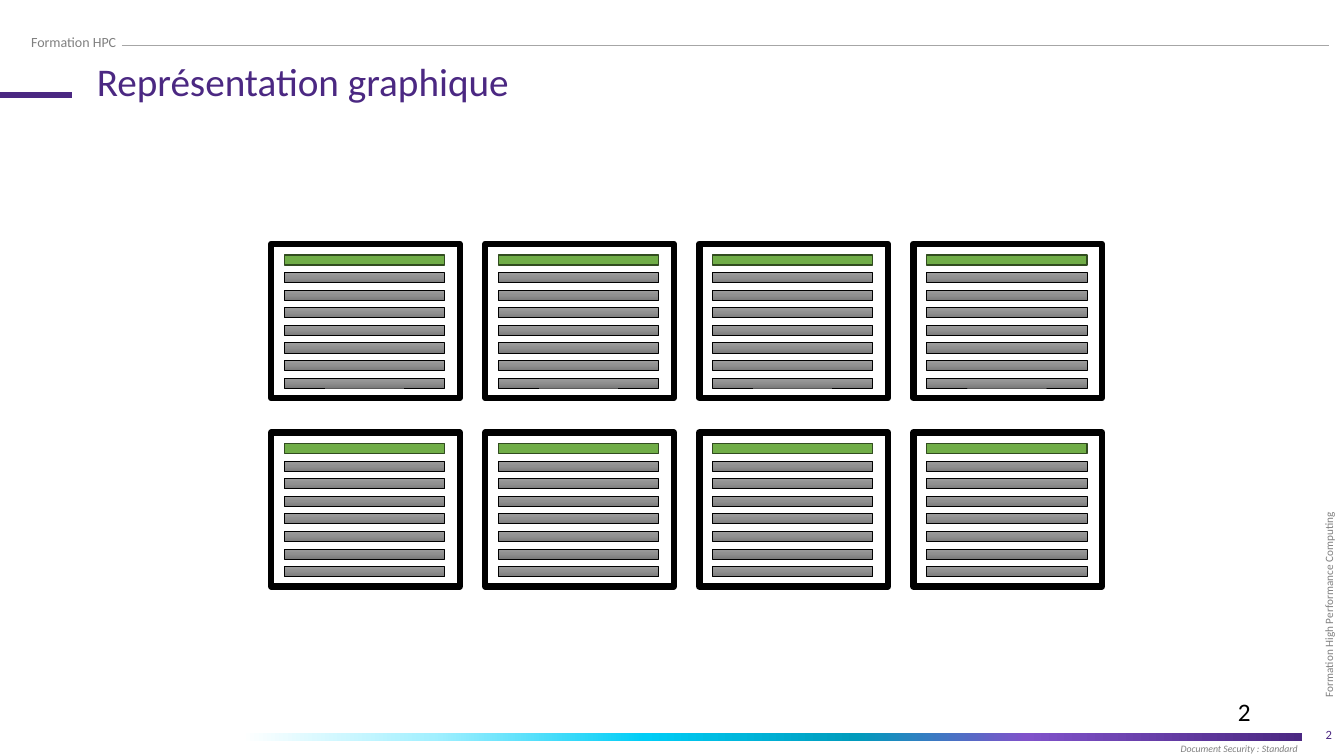
from dataclasses import dataclass

from lxml.etree import SubElement
from pptx import Presentation
from pptx.dml.color import RGBColor
from pptx.enum.shapes import MSO_CONNECTOR, MSO_SHAPE
from pptx.enum.text import MSO_ANCHOR, MSO_AUTO_SIZE, PP_ALIGN
from pptx.oxml.ns import qn
from pptx.util import Inches, Pt


@dataclass(frozen=True)
class Theme:
    font: str = "Calibri"
    purple: str = "4B2882"
    grey: str = "808080"
    rule: str = "A6A6A6"
    black: str = "000000"
    green: str = "70AD47"
    dark_green: str = "314C1F"
    core_gradient: tuple = ((0, "9D9D9D"), (50, "909090"), (100, "7C7C7C"))
    footer_gradient: tuple = (
        (0, "FFFFFF"), (18, "A3F0FF"), (38, "00CDF6"),
        (58, "009BBC"), (74, "8052CA"), (100, "4B2882"),
    )
    title_size: int = 28
    number_size: int = 18
    header_size: int = 10
    page_size: int = 9
    side_size: int = 8
    security_size: int = 7


class SlideBuilder:
    def __init__(self, slide, theme):
        self.slide = slide
        self.theme = theme

    def format_text(self, shape, text, size, color, align=PP_ALIGN.LEFT,
                    anchor=MSO_ANCHOR.TOP, inset=None, wrap=True,
                    spacing=None, italic=False):
        frame = shape.text_frame
        frame.text = text
        frame.word_wrap = wrap
        frame.auto_size = MSO_AUTO_SIZE.NONE
        frame.vertical_anchor = anchor
        if inset is not None:
            frame.margin_left = frame.margin_right = Inches(inset)
            frame.margin_top = frame.margin_bottom = Inches(inset)
        paragraph = frame.paragraphs[0]
        paragraph.alignment = align
        paragraph.line_spacing = spacing
        paragraph.font.name = self.theme.font
        paragraph.font.size = Pt(size)
        paragraph.font.italic = italic
        paragraph.font.color.rgb = RGBColor.from_string(color)

    def title(self, text, left, top, width, height):
        shape = self.slide.shapes.title
        shape.left, shape.top = Inches(left), Inches(top)
        shape.width, shape.height = Inches(width), Inches(height)
        self.format_text(shape, text, self.theme.title_size,
                         self.theme.purple, spacing=0.9)

    def text(self, text, left, top, width, height, size, color,
             rotation=0, **options):
        shape = self.slide.shapes.add_textbox(
            Inches(left), Inches(top), Inches(width), Inches(height))
        shape.rotation = rotation
        self.format_text(shape, text, size, color, **options)

    def rectangle(self, left, top, width, height, fill=None, line=None,
                  weight=0.5):
        shape = self.slide.shapes.add_shape(
            MSO_SHAPE.RECTANGLE,
            Inches(left), Inches(top), Inches(width), Inches(height))
        shape.shadow.inherit = False
        if fill:
            shape.fill.solid()
            shape.fill.fore_color.rgb = RGBColor.from_string(fill)
        else:
            shape.fill.background()
        if line:
            shape.line.color.rgb = RGBColor.from_string(line)
            shape.line.width = Pt(weight)
        else:
            shape.line.fill.background()
        return shape

    def gradient_rectangle(self, left, top, width, height, stops, angle,
                           line=None):
        shape = self.rectangle(left, top, width, height, line=line)
        shape.fill.gradient()
        gradient = shape.element.spPr.find(qn("a:gradFill"))
        stop_list = gradient.find(qn("a:gsLst"))
        for stop in list(stop_list):
            stop_list.remove(stop)
        for position, color in stops:
            stop = SubElement(stop_list, qn("a:gs"), pos=str(position * 1000))
            SubElement(stop, qn("a:srgbClr"), val=color)
        direction = gradient.find(qn("a:lin"))
        direction.set("ang", str(angle * 60000))
        direction.set("scaled", "0")

    def line(self, start, end, y, color, weight):
        connector = self.slide.shapes.add_connector(
            MSO_CONNECTOR.STRAIGHT,
            Inches(start), Inches(y), Inches(end), Inches(y))
        connector.line.color.rgb = RGBColor.from_string(color)
        connector.line.width = Pt(weight)
        SubElement(connector.element.spPr, qn("a:effectLst"))

    def node(self, left, top, core_count=8):
        theme = self.theme
        self.rectangle(left, top, 1.87, 1.53, line=theme.black, weight=4.5)
        core_left, first_core, core_step = left + 0.13, top + 0.11, 1.22 / 7
        for core in range(1, core_count):
            self.gradient_rectangle(
                core_left, first_core + core * core_step, 1.59, 0.1,
                theme.core_gradient, 90, theme.black)
        self.rectangle(core_left, first_core, 1.59, 0.1,
                       theme.green, theme.dark_green, 1)


def main():
    presentation = Presentation()
    presentation.slide_width = Inches(13.33)
    presentation.slide_height = Inches(7.5)
    slide = presentation.slides.add_slide(presentation.slide_layouts[5])
    theme = Theme()
    builder = SlideBuilder(slide, theme)

    builder.text("Formation High Performance Computing", 11.9, 5.57, 2.53, 0.36,
                 theme.side_size, theme.grey, rotation=270,
                 anchor=MSO_ANCHOR.MIDDLE, inset=0.1, spacing=1.2)
    builder.text("2", 10.31, 7.09, 3, 0.4, theme.page_size, theme.purple,
                 align=PP_ALIGN.RIGHT, anchor=MSO_ANCHOR.MIDDLE)
    builder.text("Document Security : Standard", 11.67, 7.33, 1.26, 0.2,
                 theme.security_size, theme.grey, anchor=MSO_ANCHOR.MIDDLE,
                 inset=0.04, wrap=False, italic=True)
    builder.gradient_rectangle(2.4, 7.27, 10.51, 0.08, theme.footer_gradient, 0)
    builder.text("Formation HPC", 0.21, 0.28, 1.91, 0.27,
                 theme.header_size, theme.grey)
    builder.line(1.21, 13.18, 0.45, theme.rule, 0.5)
    builder.line(0, 0.71, 0.94, theme.purple, 4.5)
    builder.title("Représentation graphique", 0.86, 0.57, 5.58, 0.36)
    builder.text("2", 12.18, 6.86, 1.15, 0.4, theme.number_size, theme.black)

    for row in range(2):
        for column in range(4):
            builder.node(2.69 + column * 6.37 / 3, 2.42 + row * 1.87)

    presentation.save("out.pptx")


if __name__ == "__main__":
    main()
